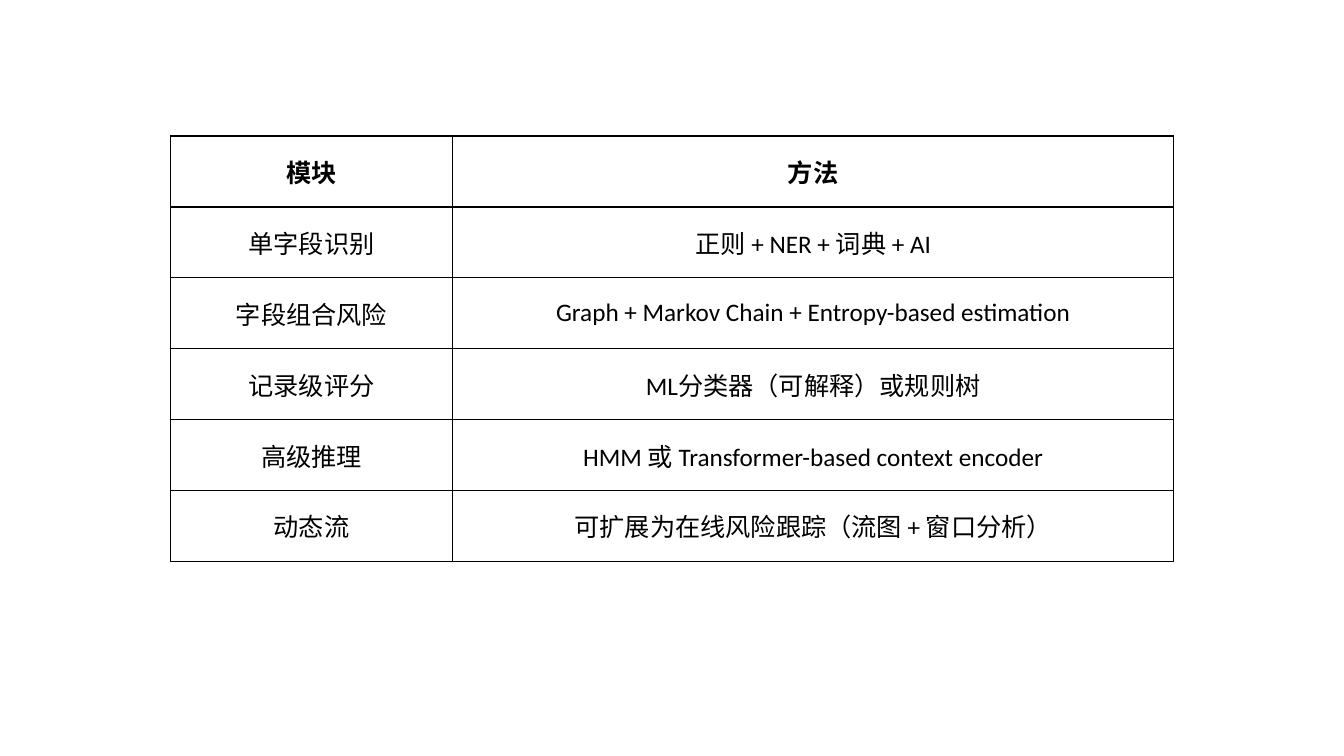
import pptx
import pptx.util
import pptx.dml.color
import pptx.enum.text
import pptx.oxml
import pptx.oxml.ns
from dataclasses import dataclass
from pptx.util import Inches


@dataclass(frozen=True)
class Theme:
    ink: str = "000000"
    font: str = "Calibri"
    body_size: int = 18
    border_width: int = 1


theme = Theme()


def add_borders(cell):
    """Draw a solid line on all four sides of a table cell."""
    properties = cell._tc.get_or_add_tcPr()
    width = pptx.util.Pt(theme.border_width)
    for position, side in enumerate(("lnL", "lnR", "lnT", "lnB")):
        properties.insert(position, pptx.oxml.parse_xml(
            f'<a:{side} {pptx.oxml.ns.nsdecls("a")} w="{width}"><a:solidFill>'
            f'<a:srgbClr val="{theme.ink}"/></a:solidFill></a:{side}>'))


presentation = pptx.Presentation()
presentation.slide_width = Inches(13.33)
presentation.slide_height = Inches(7.5)
slide = presentation.slides.add_slide(presentation.slide_layouts[6])

# Modules and the methods they use
module_methods = [
    ("模块", "方法"),
    ("单字段识别", "正则 + NER + 词典 + AI"),
    ("字段组合风险", "Graph + Markov Chain + Entropy-based estimation"),
    ("记录级评分", "ML分类器（可解释）或规则树"),
    ("高级推理", "HMM 或 Transformer-based context encoder"),
    ("动态流", "可扩展为在线风险跟踪（流图 + 窗口分析）"),
]

# Table grid
methods_table = slide.shapes.add_table(
    len(module_methods), 2,
    Inches(1.69), Inches(1.35), Inches(9.95), Inches(4.22)).table
methods_table.horz_banding = False
for column, width in zip(methods_table.columns, (2.8, 7.15)):
    column.width = Inches(width)

# Cell text and formatting
for row_index, entries in enumerate(module_methods):
    for column_index, entry in enumerate(entries):
        cell = methods_table.cell(row_index, column_index)
        cell.fill.background()
        add_borders(cell)
        cell.margin_left = cell.margin_right = 0
        cell.margin_top = cell.margin_bottom = 0
        cell.vertical_anchor = pptx.enum.text.MSO_ANCHOR.MIDDLE
        cell.text_frame.text = entry
        paragraph = cell.text_frame.paragraphs[0]
        paragraph.alignment = pptx.enum.text.PP_ALIGN.CENTER
        font = paragraph.runs[0].font
        font.name = theme.font
        font.size = pptx.util.Pt(theme.body_size)
        font.bold = row_index == 0
        font.color.rgb = pptx.dml.color.RGBColor.from_string(theme.ink)

presentation.save("out.pptx")
